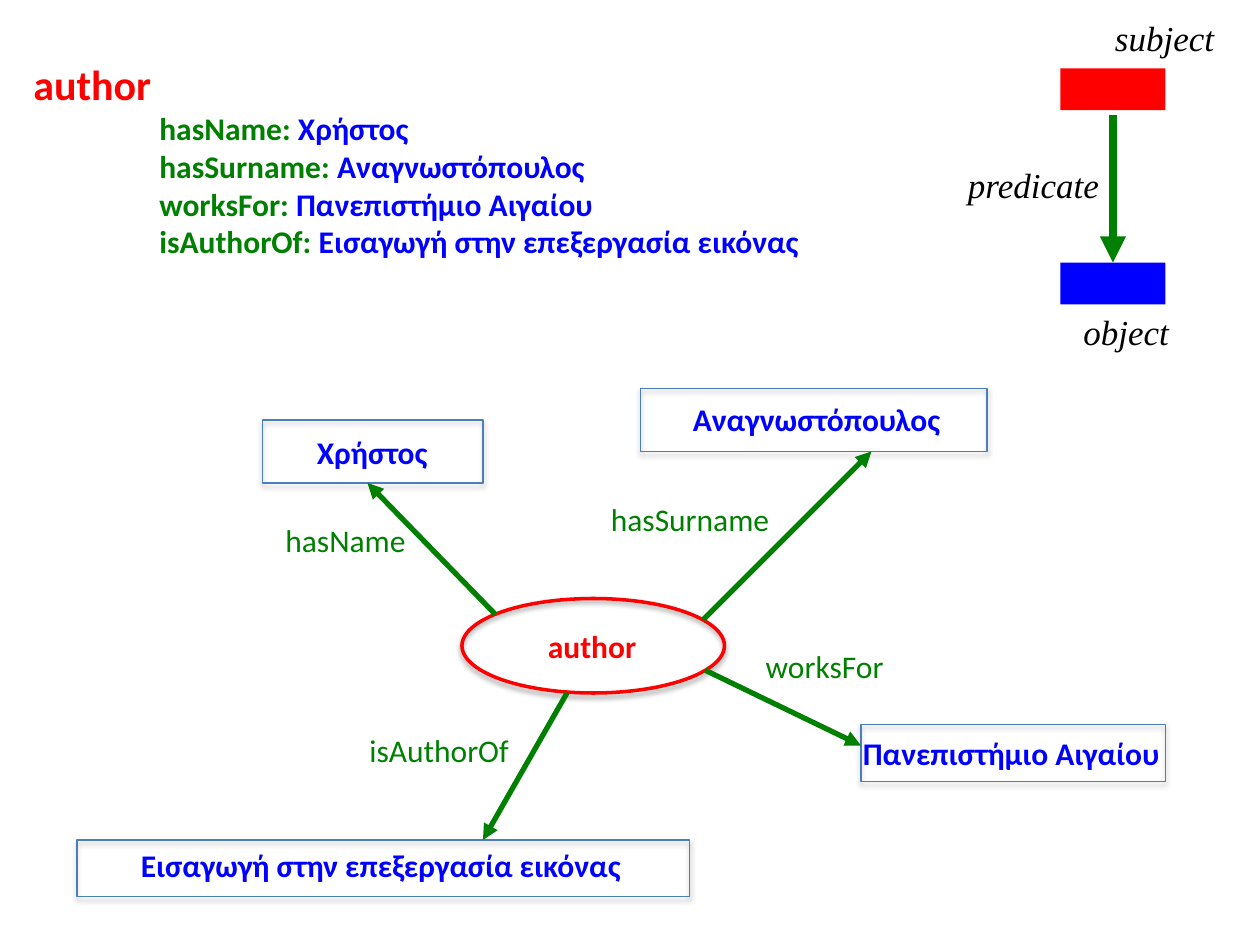
"""Draw an RDF graph of an author beside its triples and a subject-predicate-object key."""
from lxml.etree import SubElement as Sub
from pptx import Presentation
from pptx.dml.color import RGBColor as Rgb
from pptx.enum.shapes import MSO_CONNECTOR as Conn, MSO_SHAPE as Kind
from pptx.enum.text import MSO_AUTO_SIZE as Fit
from pptx.oxml.ns import qn
from pptx.util import Pt

HUES = {"red": "FF0000", "blue": "0000FF", "green": "008000",
        "edge": "4B7EBC", "black": "000000"}
SANS, SERIF = "Calibri", "Times New Roman"
NAME, LAST = "Χρήστος", "Αναγνωστόπουλος"
WORK, BOOK = "Πανεπιστήμιο Αιγαίου", "Εισαγωγή στην επεξεργασία εικόνας"
FACTS = [("hasName", NAME), ("hasSurname", LAST),
         ("worksFor", WORK), ("isAuthorOf", BOOK)]
KEYS = [("subject", (630, 6, 84, 31)), ("predicate", (546, 90, 90, 31)),
        ("object", (612, 174, 84, 31))]
BOXES = [(150, 240, 126, 36), (366, 222, 198, 36),
         (492, 414, 174, 32.4), (44, 480, 350, 32.4)]
NODES = [(NAME, "blue", (174, 244, 78.5, 29)),
         (LAST, "blue", (388.8, 225, 157.5, 29)),
         (WORK, "blue", (486, 416, 186, 51)),
         (BOOK, "blue", (73.4, 480, 293, 29)),
         ("author", "red", (306, 355, 65.5, 29))]
LINKS = [("hasName", (156, 294, 85.7, 29), (283, 351, 210, 276)),
         ("hasSurname", (342, 282, 108, 29), (402, 354, 498, 258)),
         ("worksFor", (430.5, 366, 83.5, 29), (403, 383, 492, 426)),
         ("isAuthorOf", (204, 414, 97, 29), (324, 396, 276, 480))]


def pts(nums):
    return [Pt(n) for n in nums]


def hue(name):
    return Rgb.from_string(HUES[name])


def style(font, size, tint, face=SANS, bold=False, slant=False):
    font.size, font.name = Pt(size), face
    font.bold, font.italic = bold, slant
    font.color.rgb = hue(tint)


def frame(slide, box, wrap=False):
    text = slide.shapes.add_textbox(*pts(box)).text_frame
    text.word_wrap = wrap
    text.auto_size = Fit.SHAPE_TO_FIT_TEXT
    return text


def label(slide, words, box, size, tint, wrap=False, **look):
    para = frame(slide, box, wrap).paragraphs[0]
    para.text = words
    style(para.font, size, tint, **look)


def block(slide, box, tint):
    shape = slide.shapes.add_shape(Kind.RECTANGLE, *pts(box))
    shape.shadow.inherit = False
    shape.fill.solid()
    shape.fill.fore_color.rgb = hue(tint)
    shape.line.fill.background()
    return shape


def ring(slide, kind, box, tint, width):
    shape = slide.shapes.add_shape(kind, *pts(box))
    shape.fill.background()
    shape.line.color.rgb = hue(tint)
    shape.line.width = Pt(width)
    shape.shadow.inherit = False
    glow = shape.element.spPr.find(qn("a:effectLst"))
    shade = Sub(glow, qn("a:outerShdw"), blurRad=str(Pt(3.1)),
                dist=str(Pt(1.8)), dir="5400000", rotWithShape="0")
    tone = Sub(shade, qn("a:srgbClr"), val=HUES["black"])
    Sub(tone, qn("a:alpha"), val="35000")


def arrow(slide, ends, width):
    line = slide.shapes.add_connector(Conn.STRAIGHT, *pts(ends))
    line.line.color.rgb = hue("green")
    line.line.width = Pt(width)
    Sub(line.line._get_or_add_ln(), qn("a:tailEnd"), type="triangle")
    Sub(line.element.spPr, qn("a:effectLst"))
    return line


def facts(slide):
    text = frame(slide, (12, 30, 558, 124), wrap=True)
    head = text.paragraphs[0]
    head.text = "author"
    style(head.font, 24, "red", bold=True)
    for verb, value in FACTS:
        para = text.add_paragraph()
        props = para._p.get_or_add_pPr()
        props.set("marL", str(Pt(72)))
        props.set("indent", "0")
        for words, tint in ((verb + ": ", "green"), (value, "blue")):
            run = para.add_run()
            run.text = words
            style(run.font, 18, tint, bold=True)


def key(slide):
    block(slide, (606, 39, 60, 24), "red")
    goal = block(slide, (606, 150, 60, 24), "blue")
    arrow(slide, (636, 66, 636, 150), 5).end_connect(goal, 0)
    for words, box in KEYS:
        label(slide, words, box, 20, "black", wrap=True, face=SERIF, slant=True)


def graph(slide):
    ring(slide, Kind.OVAL, (264, 342, 150, 54), "red", 2)
    for box in BOXES:
        ring(slide, Kind.RECTANGLE, box, "edge", 0.75)
    for words, tint, box in NODES:
        label(slide, words, box, 18, tint, bold=True)
    for words, box, ends in LINKS:
        arrow(slide, ends, 3)
        label(slide, words, box, 18, "green")


def main():
    deck = Presentation()
    deck.slide_width, deck.slide_height = Pt(720), Pt(540)
    slide = deck.slides.add_slide(deck.slide_layouts[6])
    key(slide)
    facts(slide)
    graph(slide)
    deck.save("out.pptx")


if __name__ == "__main__":
    main()
